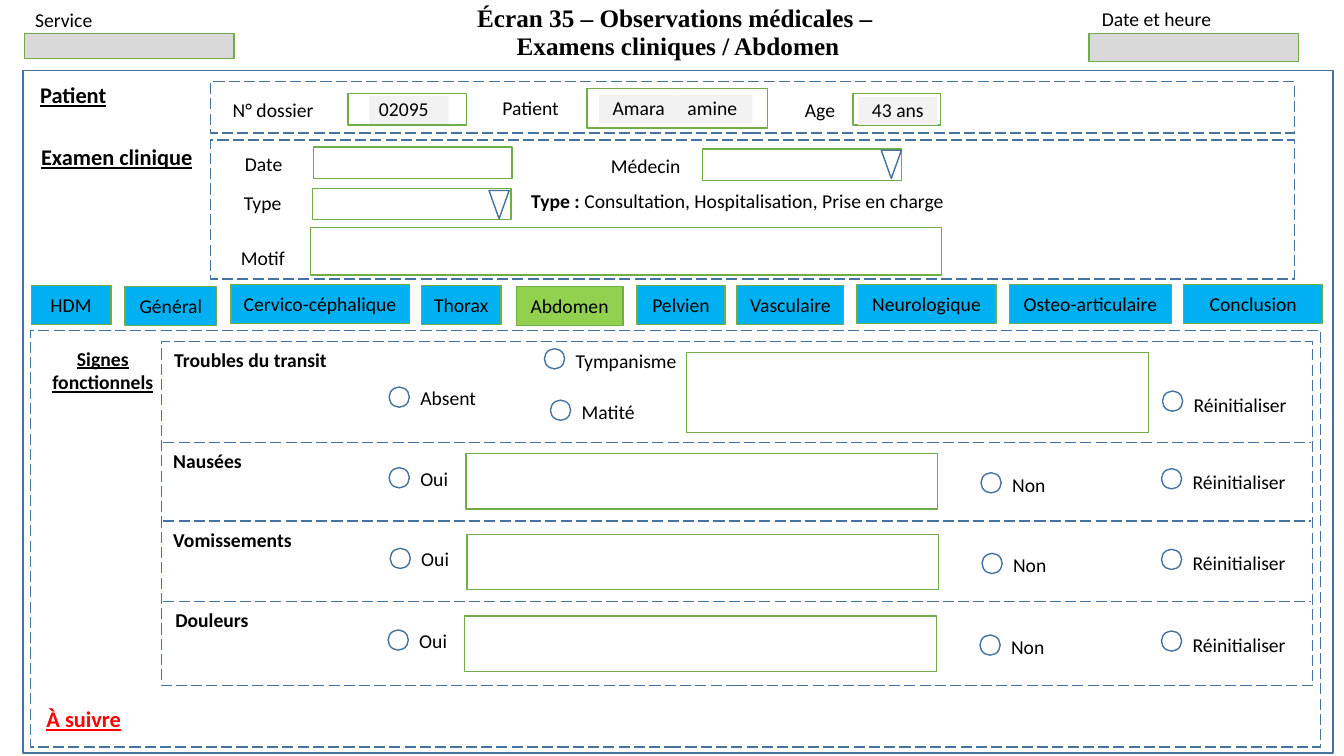
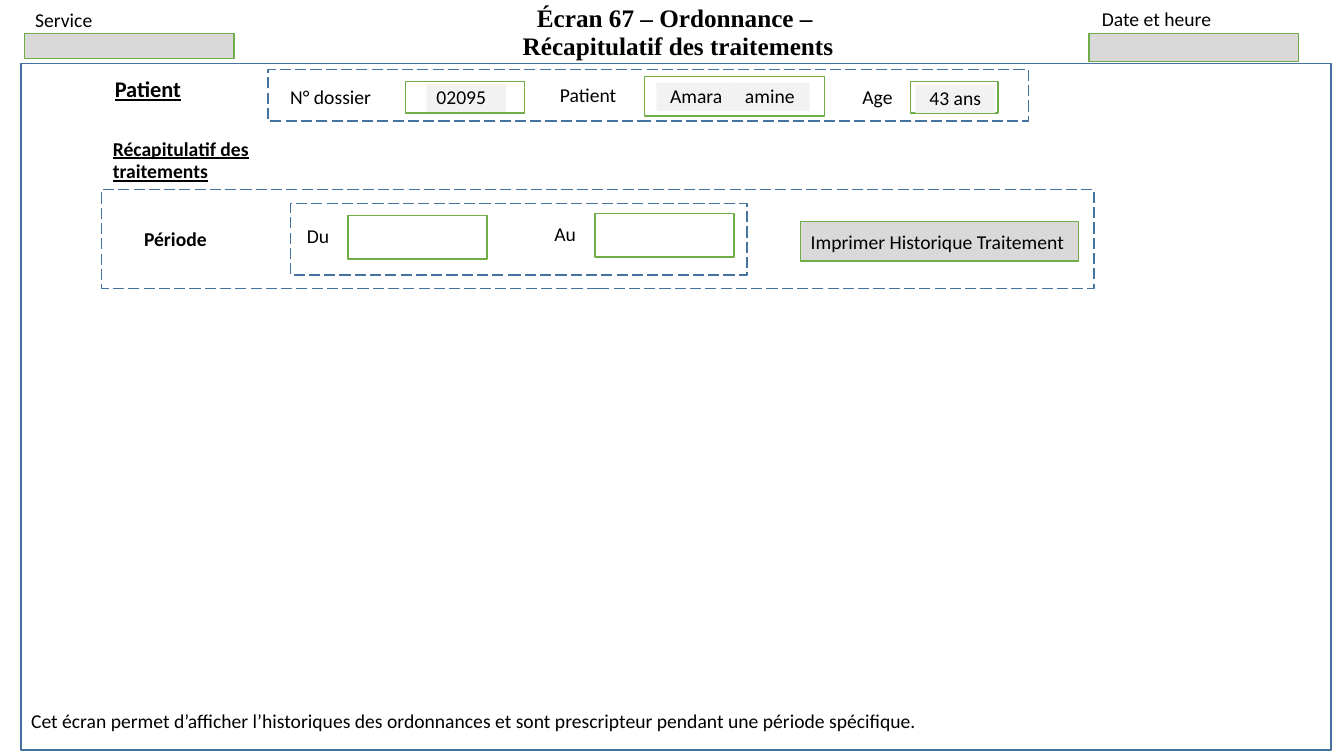
from lxml.etree import SubElement
from pptx import Presentation
from pptx.dml.color import RGBColor
from pptx.enum.dml import MSO_LINE
from pptx.enum.shapes import MSO_CONNECTOR, MSO_SHAPE
from pptx.enum.text import MSO_ANCHOR, PP_ALIGN
from pptx.oxml.ns import qn
from pptx.util import Inches, Pt

BLUE, GREEN, GREY, PALE = "43739E", "70AD47", "D9D9D9", "F2F2F2"
TAB, ACTIVE_TAB, BLACK, RED = "00B0F0", "92D050", "000000", "FF0000"
LEFT, CENTER = PP_ALIGN.LEFT, PP_ALIGN.CENTER
TOP, MIDDLE, BOTTOM = MSO_ANCHOR.TOP, MSO_ANCHOR.MIDDLE, MSO_ANCHOR.BOTTOM


def write(shape, text, align=LEFT, anchor=MIDDLE, size=14, color=BLACK,
          bold=False, underline=False, font="Calibri", spacing=0.95):
    """Fill a shape with text, one paragraph per line."""
    frame = shape.text_frame
    frame.word_wrap = True
    frame.vertical_anchor = anchor
    frame.text = text
    for paragraph in frame.paragraphs:
        paragraph.alignment = align
        paragraph.line_spacing = spacing
        paragraph.font.name = font
        paragraph.font.size = Pt(size)
        paragraph.font.bold = bold
        paragraph.font.underline = underline
        paragraph.font.color.rgb = RGBColor.from_string(color)


def draw(slide, at, line=None, fill=None, dashed=False, kind=MSO_SHAPE.RECTANGLE):
    """Add a preset shape, or a text box when kind is None."""
    place = [Inches(length) for length in at]
    if kind is None:
        return slide.shapes.add_textbox(*place)
    shape = slide.shapes.add_shape(kind, *place)
    shape.shadow.inherit = False
    if fill:
        shape.fill.solid()
        shape.fill.fore_color.rgb = RGBColor.from_string(fill)
    else:
        shape.fill.background()
    if line:
        shape.line.color.rgb = RGBColor.from_string(line)
        shape.line.width = Pt(1)
        if dashed:
            shape.line.dash_style = MSO_LINE.LONG_DASH
    else:
        shape.line.fill.background()
    return shape


prs = Presentation()
prs.slide_width, prs.slide_height = Inches(13.33), Inches(7.5)

# Shared by both screens: title, header fields, outer frame, patient strip
screens = [
    ("Écran 35 – Observations médicales – \nExamens cliniques / Abdomen",
     (0.23, 0.7, 12.99, 6.77), (2.09, 0.81, 10.75, 0.51), (0.3, 0.71)),
    ("Écran 67 – Ordonnance – \nRécapitulatif des traitements",
     (0.21, 0.63, 12.99, 6.81), (2.66, 0.69, 7.54, 0.51), (1.04, 0.65)),
]
for title, outer_frame, strip, heading in screens:
    slide = prs.slides.add_slide(prs.slide_layouts[6])
    write(draw(slide, (3.45, 0.07, 6.55, 0.59), kind=None), title, CENTER, BOTTOM,
          size=18, bold=True, font="Times New Roman")
    draw(slide, outer_frame, BLUE)
    draw(slide, (0.24, 0.33, 2.08, 0.25), GREEN, GREY)
    draw(slide, (10.8, 0.33, 2.08, 0.28), GREEN, GREY)
    for left, top, caption in [(0.25, 0.03, "Service"), (10.83, 0.02, "Date et heure")]:
        write(draw(slide, (left, top, 1.4, 0.34), kind=None), caption, anchor=TOP, spacing=1)

    draw(slide, strip, BLUE, dashed=True)
    x, y = strip[:2]
    for dx, dy, width, caption in [(0.06, 0.07, 1.12, "N° dossier"),
                                   (2.67, 0.05, 1.05, "Patient "),
                                   (5.76, 0.07, 0.61, "Age ")]:
        write(draw(slide, (x + dx, y + dy, width, 0.43), kind=None), caption, CENTER)
    for dx, dy, width, height in [(1.36, 0.12, 1.18, 0.31), (3.73, 0.07, 1.79, 0.39),
                                  (6.37, 0.12, 0.87, 0.31)]:
        draw(slide, (x + dx, y + dy, width, height), GREEN)
    for dx, dy, value, align in [(1.57, 0.14, "02095", LEFT), (3.85, 0.13, "Amara", CENTER),
                                 (4.58, 0.13, "amine", CENTER), (6.42, 0.15, "43 ans", CENTER)]:
        write(draw(slide, (x + dx, y + dy, 0.79, 0.28), fill=PALE), value, align)
    write(draw(slide, (*heading, 1.18, 0.48), kind=None), "Patient",
          size=16, bold=True, underline=True)

exam, summary = prs.slides

# Screen 35: clinical examination
write(draw(exam, (0.31, 1.37, 1.9, 0.37), kind=None), "Examen clinique", anchor=TOP,
      size=16, bold=True, underline=True, spacing=1)
draw(exam, (2.09, 1.39, 10.75, 1.38), BLUE, dashed=True)
for at, caption in [((2.33, 1.42, 0.79, 0.42), "Date"), ((2.32, 1.83, 0.79, 0.39), "Type"),
                    ((2.29, 2.39, 0.79, 0.35), "Motif"), ((5.96, 1.45, 1.13, 0.4), "Médecin")]:
    write(draw(exam, at, kind=None), caption)
for field in [(3.11, 1.46, 1.97, 0.31), (3.1, 1.87, 1.97, 0.31),
              (6.97, 1.48, 1.97, 0.31), (3.08, 2.26, 6.26, 0.47)]:
    draw(exam, field, GREEN)
for left, top in [(4.85, 1.89), (8.74, 1.49)]:
    draw(exam, (left, top, 0.2, 0.28), BLUE, kind=MSO_SHAPE.ISOSCELES_TRIANGLE).rotation = 180
type_choices = draw(exam, (5.17, 1.78, 4.4, 0.45), kind=None)
write(type_choices, "Type : ")
choices = type_choices.text_frame.paragraphs[0]
choices.runs[0].font.bold = True
choices.add_run().text = "Consultation, Hospitalisation, Prise en charge"

tabs = [("HDM", 0.31, 2.83, 0.79), ("Général", 1.24, 2.84, 0.91),
        ("Cervico-céphalique", 2.29, 2.82, 1.77), ("Thorax", 4.18, 2.83, 0.79),
        ("Abdomen", 5.12, 2.84, 1.06), ("Pelvien", 6.32, 2.83, 0.87),
        ("Vasculaire", 7.31, 2.83, 1.06), ("Neurologique", 8.5, 2.82, 1.38),
        ("Osteo-articulaire", 10.01, 2.82, 1.61), ("Conclusion", 11.74, 2.82, 1.38)]
for name, left, top, width in tabs:
    fill = ACTIVE_TAB if name == "Abdomen" else TAB
    write(draw(exam, (left, top, width, 0.39), GREEN, fill), name, CENTER, spacing=1)

# Functional signs
draw(exam, (0.3, 3.28, 12.8, 4.13), BLUE, dashed=True)
draw(exam, (1.6, 3.39, 11.42, 3.41), BLUE, dashed=True)
write(draw(exam, (0.39, 3.39, 1.26, 0.57), kind=None), "Signes fonctionnels", CENTER, TOP,
      bold=True, underline=True, spacing=1)
write(draw(exam, (0.24, 6.96, 1.18, 0.36), kind=None), "À suivre", CENTER,
      size=16, color=RED, bold=True, underline=True)

for y in (4.39, 5.17, 5.97):
    separator = exam.shapes.add_connector(MSO_CONNECTOR.STRAIGHT, Inches(1.62), Inches(y),
                                          Inches(13), Inches(y))
    separator.line.color.rgb = RGBColor.from_string(BLUE)
    separator.line.width = Pt(1)
    separator.line.dash_style = MSO_LINE.LONG_DASH
    SubElement(separator._element.spPr, qn("a:effectLst"))

signs = [("Troubles du transit", 1.63, 3.4), ("Nausées", 1.62, 4.4),
         ("Vomissements", 1.62, 5.19), ("Douleurs", 1.64, 5.98)]
for sign, left, top in signs:
    write(draw(exam, (left, top, 2.17, 0.34), kind=None), sign, anchor=TOP,
          bold=True, spacing=1)

# Each option: caption, left and top of its radio button, drop to its caption
options = [("Tympanisme", 5.4, 3.46, -0.05), ("Absent", 3.86, 3.84, -0.06),
           ("Matité", 5.46, 3.97, -0.05), ("Réinitialiser", 11.53, 3.88, -0.05)]
draw(exam, (6.81, 3.5, 4.58, 0.79), GREEN)
for x, y in [(3.86, 4.64), (3.87, 5.44), (3.85, 6.25)]:
    draw(exam, (x + 0.76, y - 0.14, 4.68, 0.55), GREEN)
    options += [("Oui", x, y, -0.06), ("Non", x + 5.87, y + 0.05, -0.05),
                ("Réinitialiser", 11.52, y + 0.01, -0.05)]
for caption, x, y, drop in options:
    draw(exam, (x, y, 0.2, 0.2), BLUE, kind=MSO_SHAPE.OVAL)
    write(draw(exam, (x + 0.21, y + drop, 1.33, 0.34), kind=None), caption, anchor=TOP,
          spacing=1.07 if caption == "Réinitialiser" else 1)

# Screen 67: treatment summary
write(draw(summary, (1.02, 1.4, 2.49, 0.39), kind=None), "Récapitulatif des traitements",
      bold=True, underline=True)
draw(summary, (1.01, 1.88, 9.84, 0.98), BLUE, dashed=True)
draw(summary, (2.88, 2.02, 4.53, 0.71), BLUE, dashed=True)
write(draw(summary, (1.33, 2.18, 0.98, 0.39), kind=None), "Période", bold=True)
for bound, left, top in [("Du", 2.86, 2.13), ("Au", 5.31, 2.11)]:
    write(draw(summary, (left, top, 0.59, 0.43), kind=None), bound, CENTER)
    draw(summary, (left + 0.59, top + 0.01, 1.38, 0.43), GREEN)
write(draw(summary, (7.94, 2.2, 2.76, 0.39), GREEN, GREY),
      "Imprimer Historique Traitement ", CENTER, spacing=1)
write(draw(summary, (0.21, 7, 12, 0.32), kind=None),
      "Cet écran permet d’afficher l’historiques des ordonnances et sont prescripteur "
      "pendant une période spécifique.")

prs.save("out.pptx")
